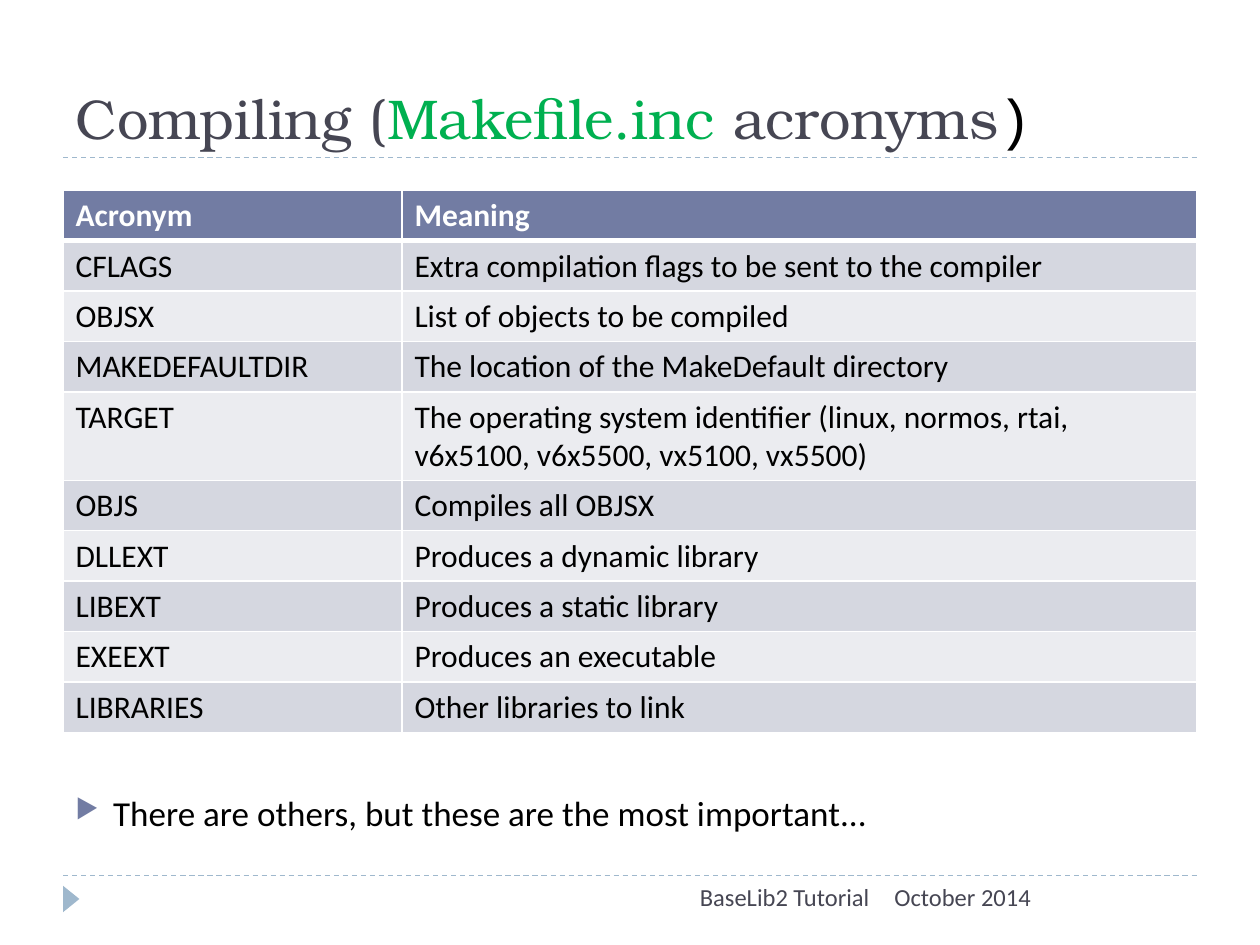
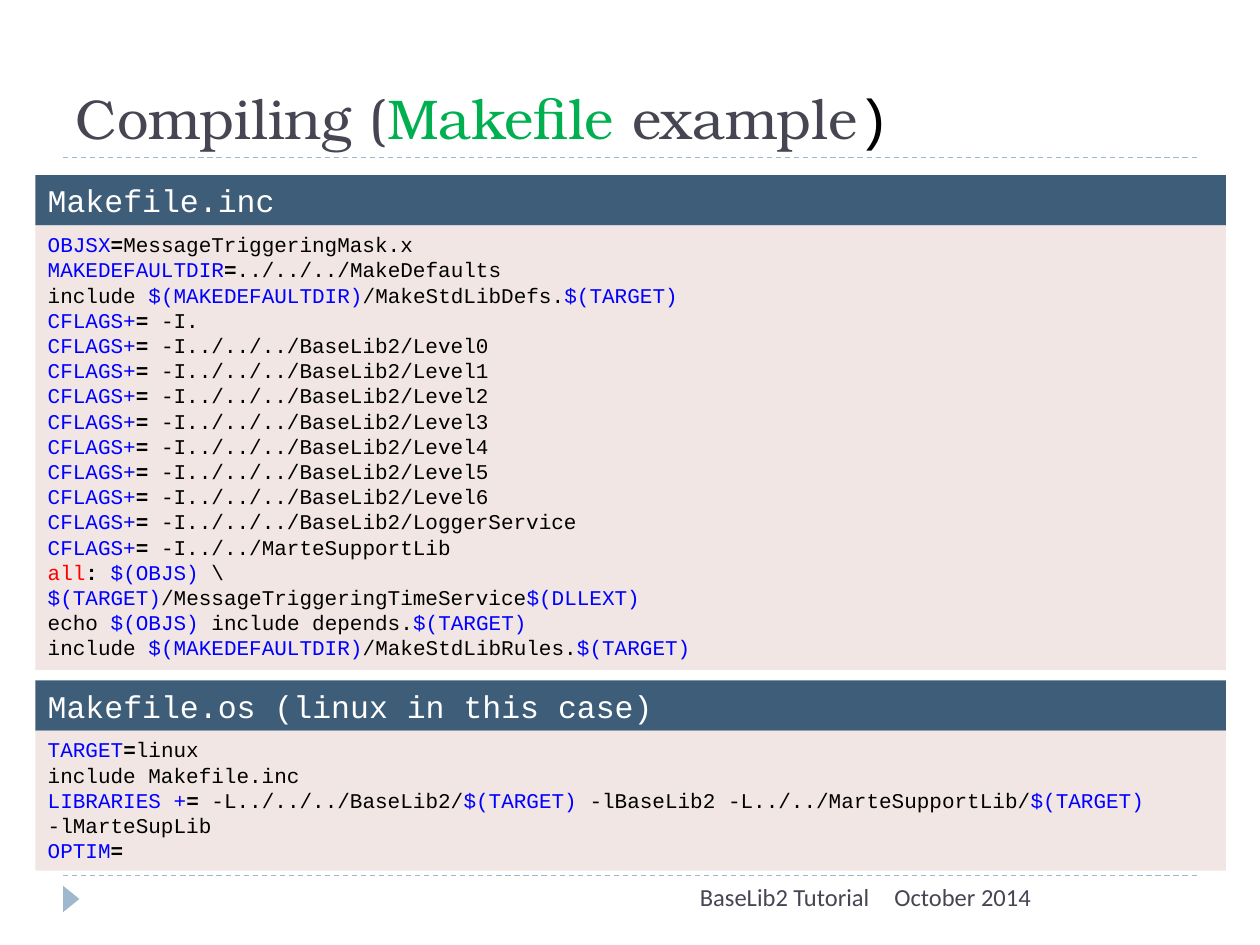
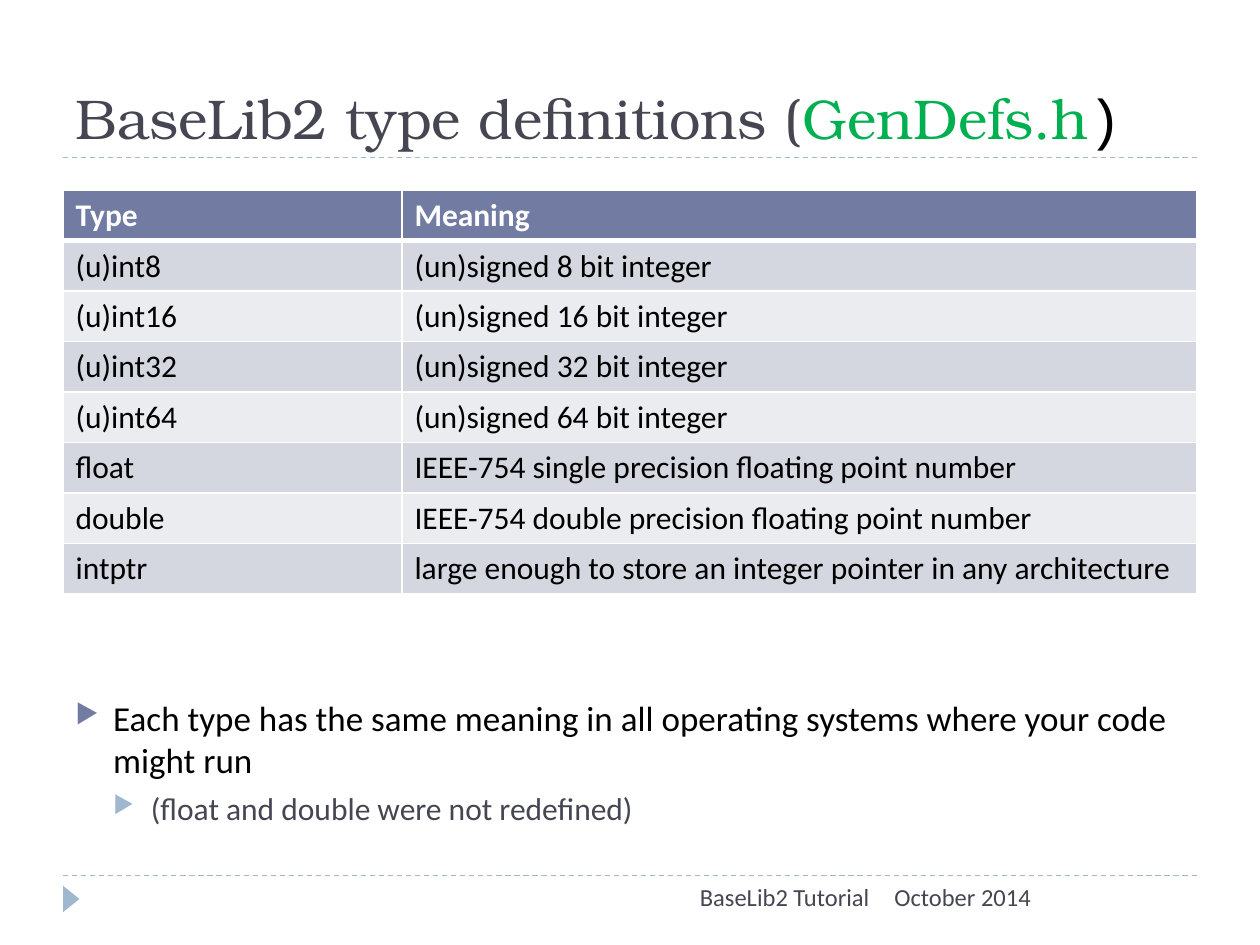
from lxml.etree import SubElement
from pptx import Presentation
from pptx.dml.color import RGBColor
from pptx.enum.dml import MSO_LINE
from pptx.enum.shapes import MSO_CONNECTOR, MSO_SHAPE
from pptx.enum.text import MSO_ANCHOR, MSO_AUTO_SIZE, PP_ALIGN
from pptx.oxml.ns import qn
from pptx.util import Inches, Pt

COLOURS = {
    "slate": "464653", "green": "00B050", "black": "000000", "white": "FFFFFF",
    "accent": "727CA3", "pale accent": "9FB8CD",
    "odd row": "D5D7E0", "even row": "EBECF0",
    "code heading": "3E5D78", "code body": "F1E6E3",
    "variable": "0000FF", "target": "FF0000",
}
BODY_FONT, CODE_FONT, TITLE_FONT = "Calibri", "Courier New", "TeX Gyre Bonum"

WIDTH, HEIGHT = 10, 7.5
MARGIN = 0.5
CONTENT_WIDTH = WIDTH - 2 * MARGIN
TITLE_RULE, FOOTER_RULE = 1.25, 6.95
TABLE_TOP, ROW_HEIGHT = 1.51, 0.4
COLUMNS = (2.69, 6.31)
CODE_LEFT, CODE_WIDTH, CODE_HEADING_HEIGHT = 0.28, 9.45, 0.4

FOOTERS = [
    ("October 2014", 7, 2.5, PP_ALIGN.LEFT),
    ("BaseLib2 Tutorial", 3.17, 3.83, PP_ALIGN.RIGHT),
]

ACRONYMS = [
    ("Acronym", "Meaning"),
    ("CFLAGS", "Extra compilation flags to be sent to the compiler"),
    ("OBJSX", "List of objects to be compiled"),
    ("MAKEDEFAULTDIR", "The location of the MakeDefault directory"),
    ("TARGET", "The operating system identifier (linux, normos, rtai, "
               "v6x5100, v6x5500, vx5100, vx5500)"),
    ("OBJS", "Compiles all OBJSX"),
    ("DLLEXT", "Produces a dynamic library"),
    ("LIBEXT", "Produces a static library"),
    ("EXEEXT", "Produces an executable"),
    ("LIBRARIES", "Other libraries to link"),
]

TYPES = [
    ("Type", "Meaning"),
    *[(f"(u)int{bits}", f"(un)signed {bits} bit integer") for bits in (8, 16, 32, 64)],
    ("float", "IEEE-754 single precision floating point number"),
    ("double", "IEEE-754 double precision floating point number"),
    ("intptr", "large enough to store an integer pointer in any architecture"),
]

MAKEFILE_INC = [
    "OBJSX=MessageTriggeringMask.x",
    "MAKEDEFAULTDIR=../../../MakeDefaults",
    "include $(MAKEDEFAULTDIR)/MakeStdLibDefs.$(TARGET)",
    "CFLAGS+= -I.",
    *[f"CFLAGS+= -I../../../BaseLib2/Level{level}" for level in range(7)],
    "CFLAGS+= -I../../../BaseLib2/LoggerService",
    "CFLAGS+= -I../../MarteSupportLib",
    "all: $(OBJS) \\",
    "$(TARGET)/MessageTriggeringTimeService$(DLLEXT)",
    "echo $(OBJS) include depends.$(TARGET)",
    "include $(MAKEDEFAULTDIR)/MakeStdLibRules.$(TARGET)",
]

MAKEFILE_OS = [
    "TARGET=linux",
    "include Makefile.inc",
    "LIBRARIES += -L../../../BaseLib2/$(TARGET) -lBaseLib2 "
    "-L../../MarteSupportLib/$(TARGET) -lMarteSupLib",
    "OPTIM=",
]

# Each title is text before the file name, the file name, and text after it.
SLIDES = [
    {"title": ("Compiling (", "Makefile.inc ", "acronyms"),
     "table": ACRONYMS,
     "notes top": 6.23, "notes height": 0.59,
     "notes": [(0, "There are others, but these are the most important...")]},
    {"title": ("Compiling (", "Makefile", " example"),
     "code": [("Makefile.inc", MAKEFILE_INC, 1.39, 3.53),
              ("Makefile.os (linux in this case)", MAKEFILE_OS, 5.4, 1.11)]},
    {"title": ("BaseLib2 type definitions (", "GenDefs.h", ""),
     "table": TYPES,
     "notes top": 5.48, "notes height": 1.26,
     "notes": [(0, "Each type has the same meaning in all operating systems "
                   "where your code might run"),
               (1, "(float and double were not redefined)")]},
]

# Size, text colour, bullet colour and space before, by level
NOTE_LEVELS = [(20, "black", "accent", 6), (18, "slate", "pale accent", 5)]


def rgb(colour):
    return RGBColor.from_string(COLOURS[colour])


def add_run(paragraph, text, size, colour, font=BODY_FONT, bold=False):
    run = paragraph.add_run()
    run.text = text
    run.font.size, run.font.name, run.font.bold = Pt(size), font, bold
    run.font.color.rgb = rgb(colour)


def paragraphs(frame, count):
    """Yield the frame's first paragraph, then new ones up to count."""
    yield frame.paragraphs[0]
    for _ in range(count - 1):
        yield frame.add_paragraph()


def add_box(slide, left, top, width, height):
    box = slide.shapes.add_textbox(*map(Inches, (left, top, width, height)))
    box.text_frame.word_wrap = True
    return box.text_frame


def add_filled(slide, preset, left, top, width, height, colour):
    shape = slide.shapes.add_shape(preset, *map(Inches, (left, top, width, height)))
    shape.shadow.inherit = False
    shape.fill.solid()
    shape.fill.fore_color.rgb = rgb(colour)
    shape.line.fill.background()
    return shape


def add_frame(slide):
    """Draw the dashed rules, the corner triangle and the footers."""
    for y in (FOOTER_RULE, TITLE_RULE):
        rule = slide.shapes.add_connector(
            MSO_CONNECTOR.STRAIGHT,
            *map(Inches, (MARGIN, y, WIDTH - MARGIN, y)))
        rule.line.color.rgb = rgb("pale accent")
        rule.line.width = Pt(0.75)
        rule.line.dash_style = MSO_LINE.DASH
        SubElement(rule._element.spPr, qn("a:effectLst"))
    triangle = add_filled(slide, MSO_SHAPE.ISOSCELES_TRIANGLE,
                          0.46, 7.07, 0.21, 0.13, "pale accent")
    triangle.rotation = 90
    for text, left, width, alignment in FOOTERS:
        footer = add_box(slide, left, FOOTER_RULE, width, 0.4).paragraphs[0]
        footer.alignment = alignment
        add_run(footer, text, 14, "slate")


def set_title(slide, before, file_name, after):
    title = slide.shapes.title
    title.left, title.top = Inches(MARGIN), Inches(0.17)
    title.width, title.height = Inches(CONTENT_WIDTH), Inches(TITLE_RULE - 0.17)
    frame = title.text_frame
    frame.word_wrap = True
    frame.auto_size = MSO_AUTO_SIZE.NONE
    frame.vertical_anchor = MSO_ANCHOR.BOTTOM
    heading = frame.paragraphs[0]
    heading.alignment = PP_ALIGN.LEFT
    for text, colour in ((before, "slate"), (file_name, "green"), (after, "slate")):
        if text:
            add_run(heading, text, 32, colour, TITLE_FONT)
    add_run(heading, ")", 32, "black", CODE_FONT)


def set_borders(cell, top, bottom):
    properties = cell._tc.get_or_add_tcPr()
    for side, points in (("L", 1), ("R", 1), ("T", top), ("B", bottom)):
        border = SubElement(properties, qn(f"a:ln{side}"), w=str(Pt(points)))
        fill = SubElement(border, qn("a:solidFill"))
        SubElement(fill, qn("a:srgbClr"), val=COLOURS["white"])


def add_glossary(slide, rows):
    """Add a two-column table with a header row and alternating row fills."""
    table = slide.shapes.add_table(
        len(rows), len(COLUMNS),
        *map(Inches, (MARGIN, TABLE_TOP, CONTENT_WIDTH, ROW_HEIGHT * len(rows)))).table
    for column, width in zip(table.columns, COLUMNS):
        column.width = Inches(width)
    for r, row in enumerate(rows):
        header = r == 0
        fill = "accent" if header else ("even row", "odd row")[r % 2]
        for c, text in enumerate(row):
            cell = table.cell(r, c)
            set_borders(cell, top=3 if r == 1 else 1, bottom=3 if header else 1)
            cell.fill.solid()
            cell.fill.fore_color.rgb = rgb(fill)
            add_run(cell.text_frame.paragraphs[0], text, 18,
                    "white" if header else "black", bold=header)


def add_bullet(paragraph, level, colour):
    properties = paragraph._p.get_or_add_pPr()
    properties.set("marL", str(Inches(0.3 * (level + 1))))
    properties.set("indent", str(Inches(-0.3)))
    bullet_colour = SubElement(properties, qn("a:buClr"))
    SubElement(bullet_colour, qn("a:srgbClr"), val=COLOURS[colour])
    SubElement(properties, qn("a:buSzPct"), val="76000")
    SubElement(properties, qn("a:buChar"), char="▶")


def add_notes(slide, notes, top, height):
    frame = add_box(slide, MARGIN, top, CONTENT_WIDTH, height)
    for paragraph, (level, text) in zip(paragraphs(frame, len(notes)), notes):
        size, colour, bullet_colour, space = NOTE_LEVELS[level]
        paragraph.level = level
        add_bullet(paragraph, level, bullet_colour)
        paragraph.space_before = Pt(space)
        add_run(paragraph, text, size, colour)


def highlight(line):
    """Split a makefile line into (text, colour, bold) parts."""
    parts = []
    for sign, colour in (("=", "variable"), (": ", "target")):
        if sign in line:
            name, _, line = line.partition(sign)
            parts = [(name, colour, False), (sign, "black", True)]
            break
    plain, *references = line.split("$(")
    parts.append((plain, "black", False))
    for reference in references:
        name, _, plain = reference.partition(")")
        parts += [(f"$({name})", "variable", False), (plain, "black", False)]
    return [part for part in parts if part[0]]


def add_code_panel(slide, top, height, colour, lines, size):
    """Fill a rectangle with lines, each a list of (text, colour, bold) parts."""
    panel = add_filled(slide, MSO_SHAPE.RECTANGLE,
                       CODE_LEFT, top, CODE_WIDTH, height, colour)
    frame = panel.text_frame
    frame.word_wrap = True
    frame.vertical_anchor = MSO_ANCHOR.TOP
    for paragraph, parts in zip(paragraphs(frame, len(lines)), lines):
        paragraph.alignment = PP_ALIGN.LEFT
        for text, text_colour, bold in parts:
            add_run(paragraph, text, size, text_colour, CODE_FONT, bold)


def add_listing(slide, heading, lines, top, height):
    add_code_panel(slide, top, CODE_HEADING_HEIGHT, "code heading",
                   [[(heading, "white", False)]], 18)
    add_code_panel(slide, top + CODE_HEADING_HEIGHT, height, "code body",
                   [highlight(line) for line in lines], 12)


def main():
    deck = Presentation()
    deck.slide_width, deck.slide_height = Inches(WIDTH), Inches(HEIGHT)
    title_only = deck.slide_layouts[5]
    for content in SLIDES:
        slide = deck.slides.add_slide(title_only)
        add_frame(slide)
        set_title(slide, *content["title"])
        if "table" in content:
            add_glossary(slide, content["table"])
            add_notes(slide, content["notes"],
                      content["notes top"], content["notes height"])
        for listing in content.get("code", []):
            add_listing(slide, *listing)
    deck.save("out.pptx")


if __name__ == "__main__":
    main()
